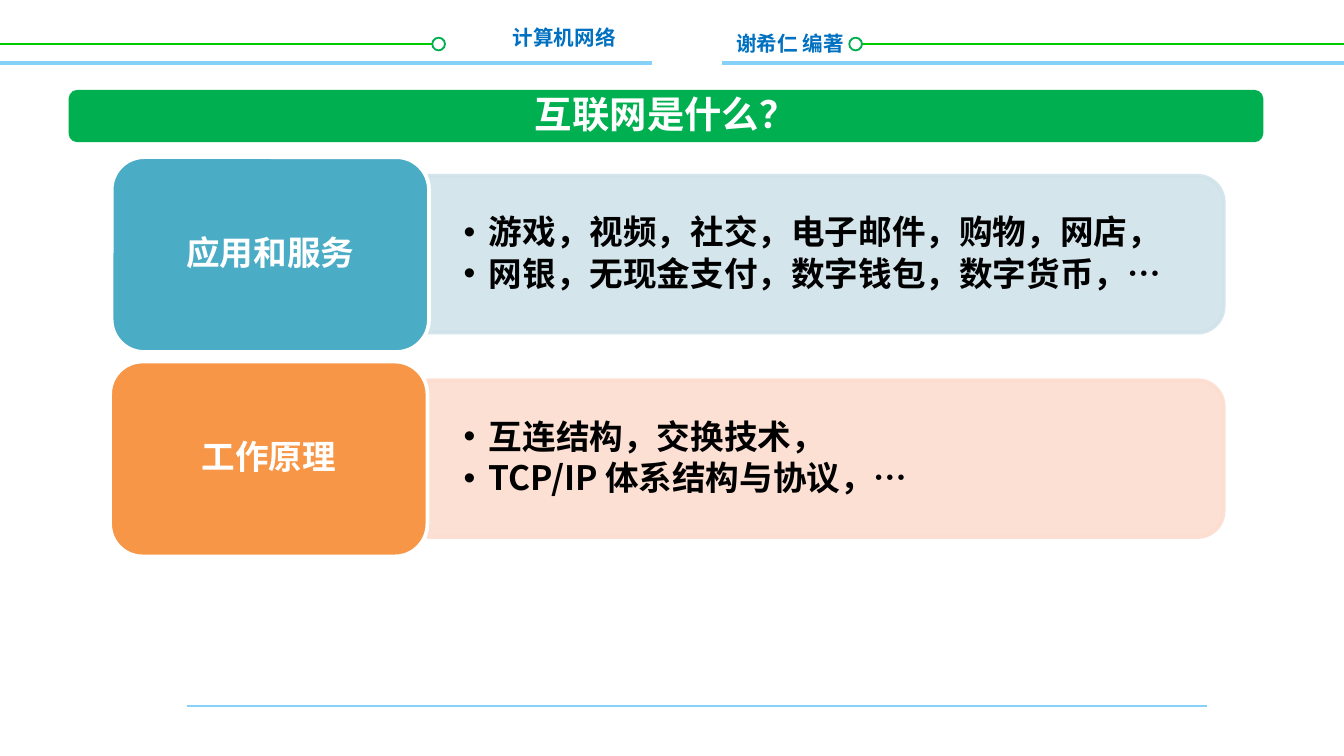
import pptx
import pptx.util
import pptx.dml.color
import pptx.enum.shapes
import pptx.enum.text
import pptx.oxml.ns
from lxml import etree

Pt = pptx.util.Pt
RGBColor = pptx.dml.color.RGBColor
Kind = pptx.enum.shapes.MSO_SHAPE
Align = pptx.enum.text.PP_ALIGN
Anchor = pptx.enum.text.MSO_ANCHOR
Fit = pptx.enum.text.MSO_AUTO_SIZE
qn = pptx.oxml.ns.qn

WHITE = RGBColor(0xFF, 0xFF, 0xFF)
BLACK = RGBColor(0, 0, 0)
LIME = RGBColor(0x00, 0xCC, 0x00)
GREEN = RGBColor(0x00, 0xB0, 0x50)
BLUE = RGBColor(0x00, 0x70, 0xC0)
SKY = RGBColor(0x85, 0xD1, 0xF7)
TEAL = RGBColor(0x4B, 0xAC, 0xC6)
PALE = RGBColor(0xD0, 0xE3, 0xEA)
ORANGE = RGBColor(0xF7, 0x96, 0x46)
PEACH = RGBColor(0xFC, 0xDD, 0xCF)

WIDTH, HEIGHT = 720, 405
ROW_STEP = 109.5


class Deck:
    font = "Noto Sans CJK SC"

    def __init__(self):
        self.file = pptx.Presentation()
        self.file.slide_width, self.file.slide_height = Pt(WIDTH), Pt(HEIGHT)
        self.slide = self.file.slides.add_slide(self.file.slide_layouts[6])

    def line(self, left, right, y, color, weight):
        line = self.slide.shapes.add_connector(
            pptx.enum.shapes.MSO_CONNECTOR.STRAIGHT, Pt(left), Pt(y), Pt(right), Pt(y))
        line.line.color.rgb = color
        line.line.width = Pt(weight)
        etree.SubElement(line._element.spPr, qn("a:effectLst"))

    def shape(self, kind, box, fill, edge=None, weight=0):
        shape = self.slide.shapes.add_shape(kind, *map(Pt, box))
        shape.shadow.inherit = False
        shape.fill.solid()
        shape.fill.fore_color.rgb = fill
        if edge is None:
            shape.line.fill.background()
        else:
            shape.line.color.rgb = edge
            shape.line.width = Pt(weight)
        return shape

    def panel(self, box, color):
        """Draw a see-through bar with round corners on its right side."""
        left, top, width, height = box
        shift = (width - height) / 2
        turned = (left + shift, top - shift, height, width)
        panel = self.shape(Kind.ROUND_2_SAME_RECTANGLE, turned, color, color, 2)
        panel.rotation = 90
        for tint in panel._element.spPr.iter(qn("a:srgbClr")):
            etree.SubElement(tint, qn("a:alpha"), val="90000")

    def text(self, box, lines, size, color, align=Align.LEFT, wrap=True,
             inset=None, after=None, bullet=False):
        """Add text; inset is (side, top), after is a percentage of a line."""
        frame = self.slide.shapes.add_textbox(*map(Pt, box)).text_frame
        frame.word_wrap = wrap
        if inset:
            frame.vertical_anchor = Anchor.MIDDLE
            frame.margin_left = frame.margin_right = Pt(inset[0])
            frame.margin_top = frame.margin_bottom = Pt(inset[1])
        else:
            frame.auto_size = Fit.SHAPE_TO_FIT_TEXT
        for i, words in enumerate(lines):
            para = frame.paragraphs[0] if i == 0 else frame.add_paragraph()
            para.alignment = align
            if after:
                self.space(para, after)
            if bullet:
                self.bullet(para)
            self.run(para, words, size, color)

    def space(self, para, after):
        para.line_spacing = 0.9
        para.space_after = Pt(0)
        gap = para._p.pPr.find(qn("a:spcAft"))
        gap.remove(gap[0])
        etree.SubElement(gap, qn("a:spcPct"), val=str(after * 1000))

    def bullet(self, para):
        para.level = 1
        props = para._p.get_or_add_pPr()
        props.set("marL", str(Pt(13.5)))
        props.set("indent", str(Pt(-13.5)))
        etree.SubElement(props, qn("a:buFont"), typeface="Arial")
        etree.SubElement(props, qn("a:buChar"), char="•")

    def run(self, para, words, size, color):
        run = para.add_run()
        run.text = words
        run.font.size = Pt(size)
        run.font.bold = True
        run.font.color.rgb = color
        run.font.name = self.font
        etree.SubElement(run._r.rPr, qn("a:ea"), typeface=self.font)

    def head(self):
        dot = 6.8
        for left, right, x in ((0, 233, 231.6), (455, WIDTH, 455)):
            self.line(left, right, 23.6, LIME, 1)
            self.shape(Kind.OVAL, (x, 20.2, dot, dot), WHITE, GREEN, 1)
        self.text((387.4, 13, 83.5, 20.6), ["谢希仁 编著"], 11, BLUE)
        self.text((267, 10, 70, 20.6), ["计算机网络"], 11, BLUE, Align.RIGHT, False)
        self.line(0, WIDTH, 33.7, SKY, 2)
        self.shape(Kind.RECTANGLE, (349.4, 10, 37.4, 36.7), WHITE)
        self.line(100, 646.5, 378.2, SKY, 1.5)

    def title(self, words):
        self.shape(Kind.ROUNDED_RECTANGLE, (36.8, 48.2, 640, 28), GREEN)
        self.text((278.6, 45.5, 156.3, 31.5), [words], 20, WHITE, Align.CENTER, False)

    def row(self, left, top, name, points, fill, pale):
        self.panel((229, top + 10, 426.5, 84), pale)
        self.text((229, top + 14.4, 422.6, 75.6), points, 18, BLACK,
                  inset=(19.4, 10), after=15, bullet=True)
        self.shape(Kind.ROUNDED_RECTANGLE, (left, top, 170, 104.4), fill, WHITE, 2)
        self.text((left + 5, top + 5, 160, 94.4), [name], 18, WHITE, Align.CENTER,
                  inset=(5, 2.9), after=35)


ROWS = (
    (59.8, "应用和服务",
     ("游戏，视频，社交，电子邮件，购物，网店，",
      "网银，无现金支付，数字钱包，数字货币，…"), TEAL, PALE),
    (59, "工作原理",
     ("互连结构，交换技术，", "TCP/IP 体系结构与协议，…"), ORANGE, PEACH),
)

deck = Deck()
deck.head()
deck.title("互联网是什么？")
for i, (left, name, points, fill, pale) in enumerate(ROWS):
    deck.row(left, 84.2 + i * ROW_STEP, name, points, fill, pale)
deck.file.save("out.pptx")
